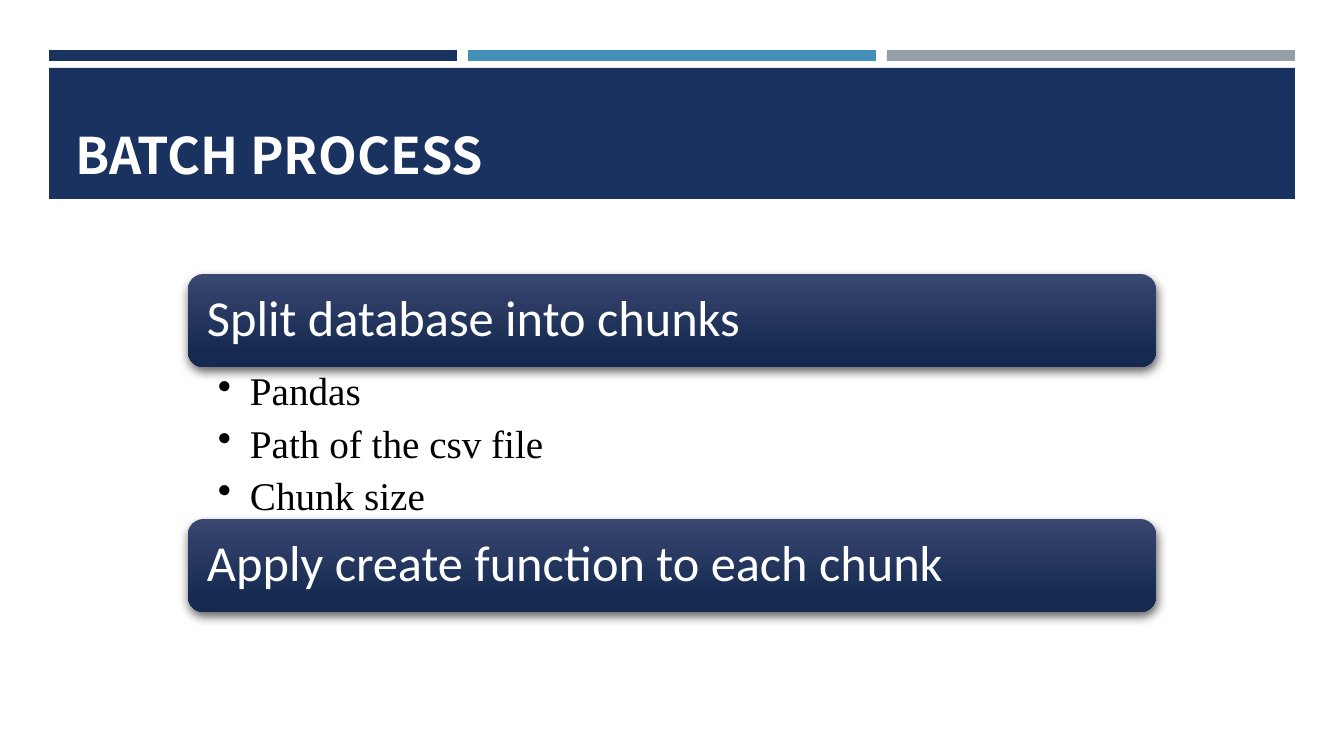
from lxml.etree import SubElement
from pptx import Presentation
from pptx.dml.color import RGBColor
from pptx.enum.shapes import MSO_SHAPE as SHAPE
from pptx.enum.text import MSO_ANCHOR as ANCHOR, PP_ALIGN as ALIGN
from pptx.oxml.ns import qn
from pptx.util import Emu, Pt

EMU_PER_PX = 914400 / 100.8
NAVY, BLUE, GREY, WHITE, BLACK = "1A3260", "4590B8", "969FA7", "FFFFFF", "000000"


def px(n):
    return Emu(round(n * EMU_PER_PX))


def color(value):
    return RGBColor.from_string(value)


def add_box(s, kind, x, y, w, h):
    sp = s.shapes.add_shape(kind, px(x), px(y), px(w), px(h))
    sp.shadow.inherit = False
    sp.line.fill.background()
    return sp


def add_rect(s, x, y, w, h, fill):
    sp = add_box(s, SHAPE.RECTANGLE, x, y, w, h)
    sp.fill.solid()
    sp.fill.fore_color.rgb = color(fill)


def add_bullet(p, indent):
    pPr = p._p.get_or_add_pPr()
    pPr.set("marL", str(px(indent)))
    pPr.set("indent", str(-px(indent)))
    SubElement(pPr, qn("a:buChar"), char="•")


def add_text(s, lines, x, y, w, h, *, size, font, fill, bold=False, anchor=ANCHOR.TOP,
             insets=(10, 5, 10, 5), line_spacing=None, space_after=0, indent=None):
    tf = s.shapes.add_textbox(px(x), px(y), px(w), px(h)).text_frame
    tf.word_wrap = True
    tf.vertical_anchor = anchor
    tf.margin_left, tf.margin_top, tf.margin_right, tf.margin_bottom = map(px, insets)
    for i, line in enumerate(lines):
        p = tf.add_paragraph() if i else tf.paragraphs[0]
        p.alignment = ALIGN.LEFT
        p.line_spacing = line_spacing
        p.space_after = Pt(space_after)
        if indent:
            add_bullet(p, indent)
        r = p.add_run()
        r.text = line
        r.font.size, r.font.name, r.font.bold = Pt(size), font, bold
        r.font.color.rgb = color(fill)


def add_shadow(sp):
    effects = sp._element.spPr.find(qn("a:effectLst"))
    shadow = SubElement(effects, qn("a:outerShdw"), blurRad=str(Pt(7)), dist=str(Pt(3)),
                        dir=str(84 * 60000), algn="ctr", rotWithShape="0")
    clr = SubElement(shadow, qn("a:srgbClr"), val=BLACK)
    SubElement(clr, qn("a:alpha"), val="60000")


def add_step(s, text, x, y, w, h):
    sp = add_box(s, SHAPE.ROUNDED_RECTANGLE, x, y, w, h)
    sp.fill.gradient()
    sp.fill.gradient_angle = 270
    stops = ((0, "394771"), (0.84, "162A51"))
    for stop, (position, value) in zip(sp.fill.gradient_stops, stops):
        stop.position = position
        stop.color.rgb = color(value)
    add_shadow(sp)
    add_text(s, [text], x + 4, y + 4, w - 9, h - 9, size=36, font="Calibri", fill=WHITE,
             anchor=ANCHOR.MIDDLE, insets=(15, 15, 15, 15), line_spacing=0.9)


def main():
    prs = Presentation()
    prs.slide_width, prs.slide_height = px(1344), px(756)
    s = prs.slides.add_slide(prs.slide_layouts[6])

    # Header strips and title band
    for i, fill in enumerate((NAVY, BLUE, GREY)):
        add_rect(s, 49 + 419 * i, 50, 408, 11, fill)
    add_rect(s, 49, 68, 1246, 131, NAVY)
    add_text(s, ["BATCH PROCESS"], 65, 78, 1216, 112, size=36, font="Noto Sans CJK SC",
             fill=WHITE, bold=True, anchor=ANCHOR.BOTTOM)

    # Steps with the details of the first one
    left, top, width, bar, details = 188, 274, 968, 93, 152
    add_step(s, "Split database into chunks", left, top, width, bar)
    add_text(s, ["Pandas", "Path of the csv file", "Chunk size"],
             left, top + bar, width, details, size=28, font="Times New Roman", fill=BLACK,
             insets=(30, 5, 28, 5), line_spacing=0.9, space_after=7, indent=32)
    add_step(s, "Apply create function to each chunk", left, top + bar + details, width, bar)

    prs.save("out.pptx")


if __name__ == "__main__":
    main()
